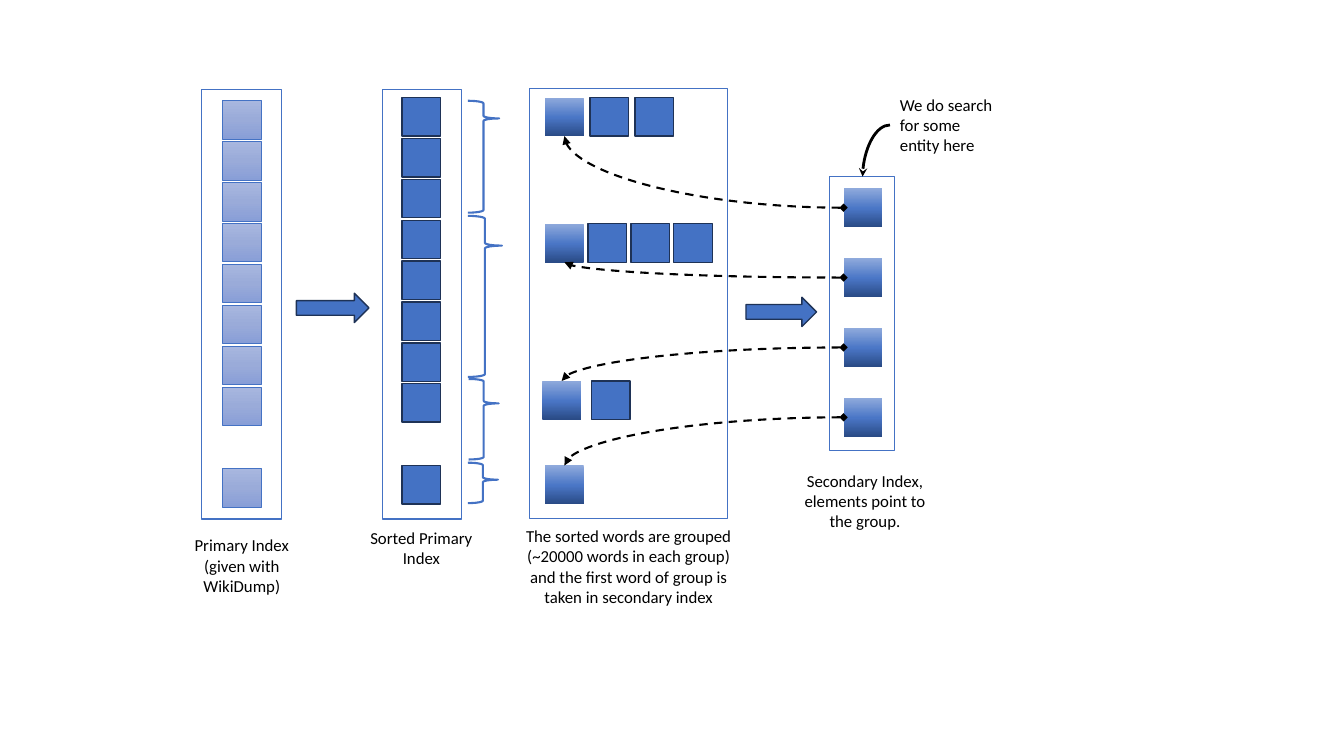
from copy import deepcopy

from lxml import etree
from pptx import Presentation
from pptx import util as u
from pptx.dml.color import RGBColor
from pptx.enum import dml, shapes, text
from pptx.oxml.ns import qn

COLOURS = {
    "blue": "4472C4",
    "navy": "1E3256",
    "black": "000000",
}
GRADIENTS = {
    "pale": [(0, "A8B7DF"), (0.5, "9AABD9"), (1, "889ED7")],
    "deep": [(0, "8FAADC"), (0.52, "4A76C6"), (1, "2A4B86")],
}
SQUARE = 0.97
HALF = SQUARE / 2


class IndexSlide:
    font = "Calibri"
    size = 12

    def __init__(self, deck):
        self.page = deck.slides.add_slide(deck.slide_layouts[6])

    def colour(self, name):
        return RGBColor.from_string(COLOURS[name])

    def shape(self, kind, bounds, fill=None, line=None, width=1, parent=None):
        parent = parent or self.page
        shape = parent.shapes.add_shape(kind, *map(u.Cm, bounds))
        shape.shadow.inherit = False
        if fill in GRADIENTS:
            self.gradient(shape, GRADIENTS[fill])
        elif fill:
            shape.fill.solid()
            shape.fill.fore_color.rgb = self.colour(fill)
        else:
            shape.fill.background()
        if line:
            shape.line.color.rgb = self.colour(line)
            shape.line.width = u.Pt(width)
        else:
            shape.line.fill.background()
        return shape

    def gradient(self, shape, stops):
        shape.fill.gradient()
        shape.fill.gradient_angle = 270
        stop_list = shape._element.spPr.find(".//" + qn("a:gsLst"))
        stop_list.insert(1, deepcopy(stop_list[0]))
        for stop, (position, value) in zip(shape.fill.gradient_stops, stops):
            stop.position = position
            stop.color.rgb = RGBColor.from_string(value)

    def square(self, left, top, fill="blue", line="navy", width=1, parent=None):
        bounds = (left, top, SQUARE, SQUARE)
        self.shape(shapes.MSO_SHAPE.RECTANGLE, bounds, fill, line, width, parent)

    def column(self, left, top, fill, line, width):
        for slot in (*range(8), 9):
            self.square(left, top + slot * 1.03, fill, line, width)

    def word_group(self, left, top, step, count):
        parent = self.page.shapes.add_group_shape() if count > 1 else self.page
        self.square(left, top, "deep", None, parent=parent)
        for number in range(1, count):
            self.square(left + number * step, top, parent=parent)

    def frame(self, *bounds):
        self.shape(shapes.MSO_SHAPE.RECTANGLE, bounds, line="blue", width=0.75)

    def arrow(self, *bounds):
        self.shape(shapes.MSO_SHAPE.RIGHT_ARROW, bounds, "blue", "navy")

    def brace(self, bounds, point):
        brace = self.shape(shapes.MSO_SHAPE.RIGHT_BRACE, bounds, line="blue", width=1.5)
        brace.adjustments[0] = 0.083
        brace.adjustments[1] = point

    def label(self, words, bounds, align=text.PP_ALIGN.CENTER):
        box = self.page.shapes.add_textbox(*map(u.Cm, bounds))
        frame = box.text_frame
        frame.word_wrap = True
        frame.auto_size = text.MSO_AUTO_SIZE.SHAPE_TO_FIT_TEXT
        para = frame.paragraphs[0]
        para.text = words
        para.alignment = align
        para.font.name = self.font
        para.font.size = u.Pt(self.size)
        para.font.color.rgb = self.colour("black")

    def curve(self, start, end, width, tail, head=None, dashed=False):
        curve = self.page.shapes.add_connector(
            shapes.MSO_CONNECTOR.CURVE, *map(u.Cm, (*start, *end)))
        curve.line.color.rgb = self.colour("black")
        curve.line.width = u.Pt(width)
        if dashed:
            curve.line.dash_style = dml.MSO_LINE.DASH
        properties = curve._element.spPr
        properties.find(qn("a:prstGeom")).set("prst", "curvedConnector2")
        outline = properties.find(qn("a:ln"))
        for tag, mark in (("a:headEnd", head), ("a:tailEnd", tail)):
            if mark:
                etree.SubElement(outline, qn(tag), type=mark)
        etree.SubElement(properties, qn("a:effectLst"))


def main():
    deck = Presentation()
    deck.slide_width = u.Cm(33.87)
    deck.slide_height = u.Cm(19.05)
    slide = IndexSlide(deck)

    slide.frame(5.08, 2.26, 2.01, 10.82)
    slide.frame(9.63, 2.26, 2.01, 10.82)
    slide.frame(13.34, 2.24, 5, 10.82)
    slide.frame(20.9, 4.45, 1.65, 6.91)

    slide.column(5.61, 2.54, "pale", "blue", 0.5)
    slide.column(10.13, 2.46, "blue", "navy", 1)

    slide.brace((11.79, 2.54, 0.79, 2.82), 0.158)
    slide.brace((11.79, 5.44, 0.86, 4.06), 0.185)
    slide.brace((11.81, 9.55, 0.76, 2.03), 0.303)
    slide.brace((11.79, 11.66, 0.76, 1.02), 0.42)

    slide.arrow(7.47, 7.39, 1.83, 0.74)
    slide.arrow(18.8, 7.49, 1.78, 0.74)

    word_groups = [
        (13.74, 2.46, 1.13, 3),
        (13.74, 5.64, 1.08, 4),
        (13.67, 9.6, 1.24, 2),
        (13.74, 11.73, 0, 1),
    ]
    secondary_left = 21.26
    for number, (left, top, step, count) in enumerate(word_groups):
        slide.word_group(left, top, step, count)
        secondary_top = 4.75 + number * 1.76
        slide.square(secondary_left, secondary_top, "deep", None)
        target = top + SQUARE if top < secondary_top + HALF else top
        slide.curve((secondary_left, secondary_top + HALF), (left + HALF, target),
                    1.5, "triangle", "diamond", dashed=True)
    slide.curve((22.43, 3.15), (21.74, 4.45), 2, "stealth")

    slide.label("Primary Index (given with WikiDump)", (4.47, 13.36, 3.25, 1.8))
    slide.label("Sorted Primary Index", (8.59, 13.18, 4.06, 1.27))
    slide.label("The sorted words are grouped (~20000 words in each group) "
                "and the first word of group is taken in secondary index",
                (12.95, 13.13, 5.79, 2.31))
    slide.label("Secondary Index, elements point to the group.",
                (20.02, 11.73, 3.56, 1.8))
    slide.label("We do search for some entity here",
                (22.43, 2.26, 2.92, 1.8), text.PP_ALIGN.LEFT)

    deck.save("out.pptx")


if __name__ == "__main__":
    main()
